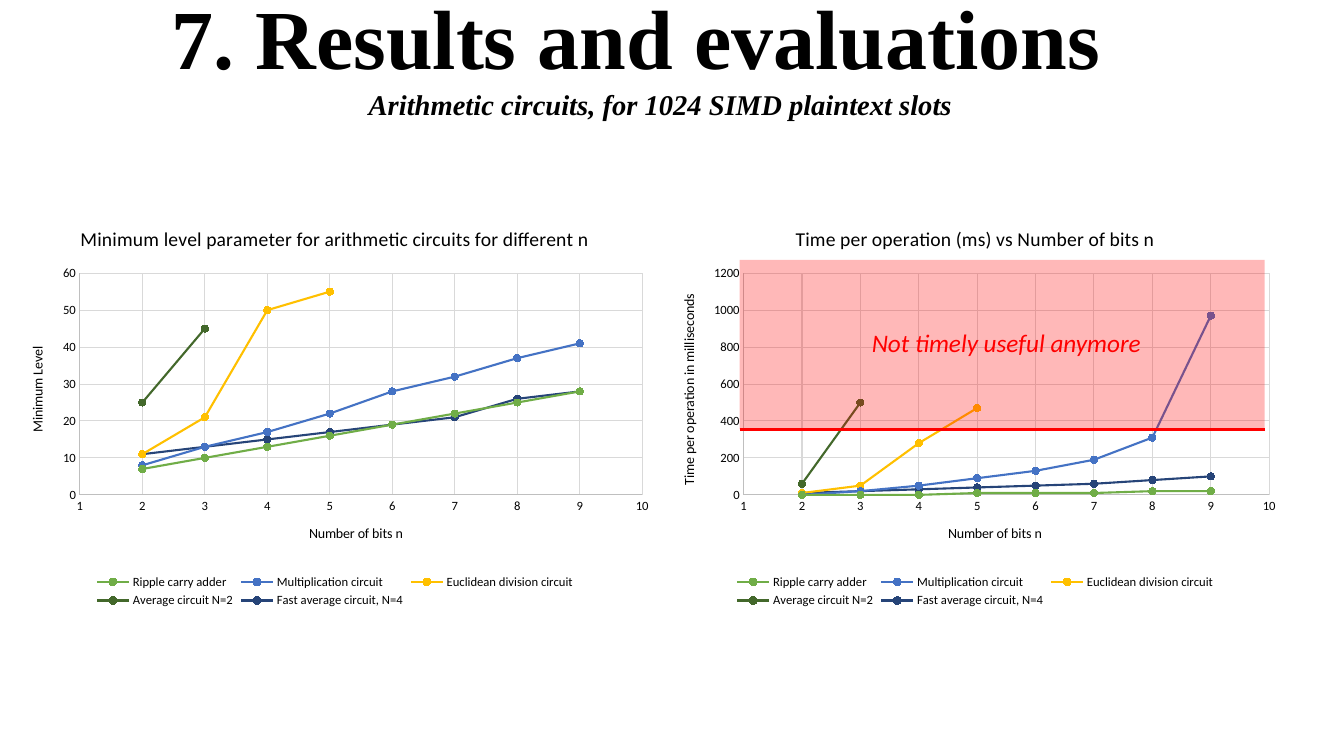
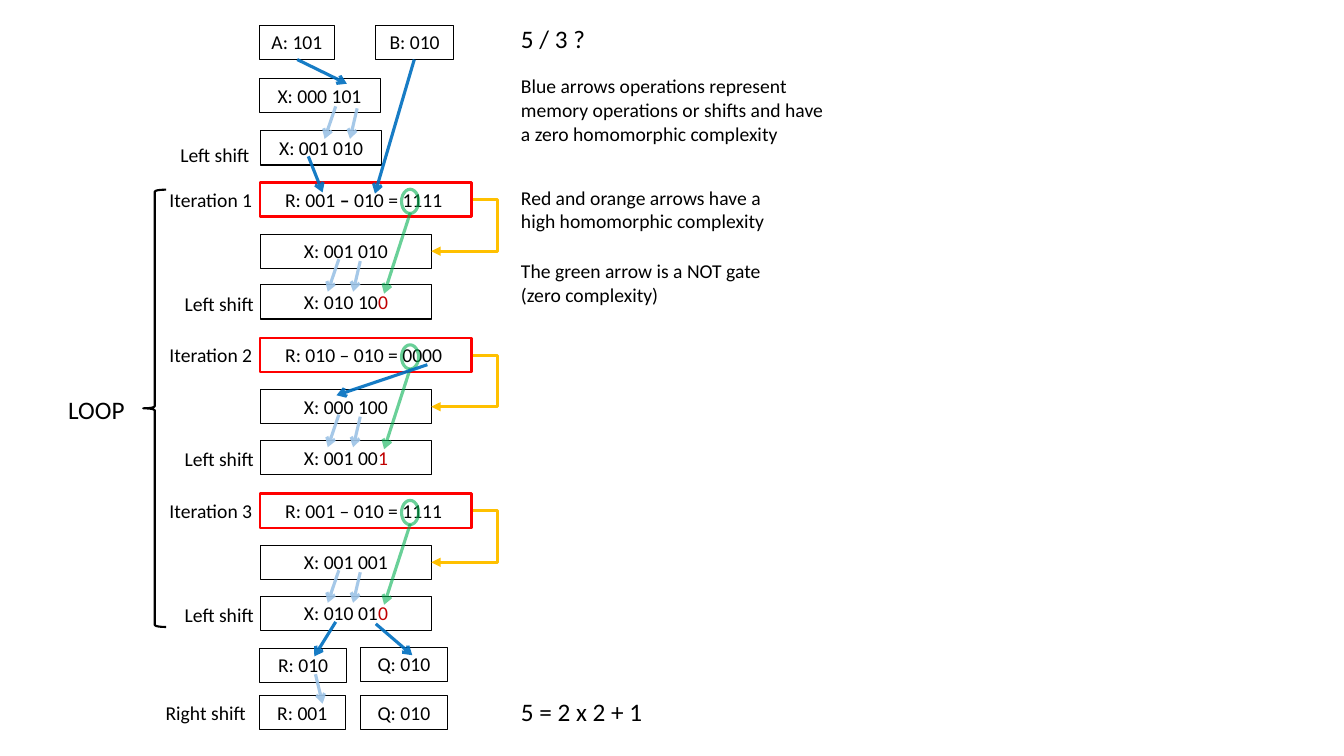
from lxml import etree
from pptx import Presentation, util as u
from pptx.chart import data as chart_data
from pptx.dml import color
from pptx.enum import chart as charts, shapes, text
from pptx.oxml import ns

BLACK, RED, DARK_RED, GREEN = "000000", "FF0000", "C00000", "00B050"
BLUE, PALE_BLUE, ORANGE = "0070C0", "9DC3E6", "FFC000"
AXIS_LINE, GRID_LINE = "BFBFBF", "D9D9D9"
CENTER = text.PP_ALIGN.CENTER
SERIES_COLORS = {
    "Ripple carry adder": "70AD47",
    "Multiplication circuit": "4472C4",
    "Euclidean division circuit": "FFC000",
    "Average circuit N=2": "43682B",
    "Fast average circuit, N=4": "264478",
}


def rgb(value):
    return color.RGBColor.from_string(value)


def assign(target, values):
    for name, value in values.items():
        setattr(target, name, value)


def add_node(parent, tag, **attributes):
    return etree.SubElement(parent, ns.qn(tag), attributes)


def set_alpha(holder, percent):
    for node in holder.iter(ns.qn("a:srgbClr")):
        add_node(node, "a:alpha", val=str(percent * 1000))


class Painter:
    font = "Calibri"
    heading_font = "Times New Roman"

    def __init__(self):
        self.deck = Presentation()
        self.deck.slide_width, self.deck.slide_height = u.Cm(33.87), u.Cm(19.05)
        self.page = None

    def new_page(self):
        self.page = self.deck.slides.add_slide(self.deck.slide_layouts[6])

    def style_font(self, font, size, tint=BLACK, **values):
        assign(font, {"name": self.font, "size": u.Pt(size), **values})
        font.color.rgb = rgb(tint)

    def style_line(self, line, tint, width, alpha=None):
        line.color.rgb = rgb(tint)
        line.width = u.Pt(width)

    def text(self, place, spans, size=14, tint=BLACK, align=None, spacing=None,
             anchor=text.MSO_ANCHOR.TOP, border=None, **values):
        box = self.page.shapes.add_textbox(*map(u.Cm, place))
        assign(box.text_frame, {"word_wrap": True, "vertical_anchor": anchor})
        para = box.text_frame.paragraphs[0]
        assign(para, {"alignment": align, "line_spacing": spacing})
        for content, changes in [(spans, {})] if isinstance(spans, str) else spans:
            span = para.add_run()
            span.text = content
            self.style_font(span.font, size, **{"tint": tint, **values, **changes})
        if border:
            self.style_line(box.line, *border)

    def heading(self, place, content, size, spacing, **values):
        self.text(place, content, size, align=CENTER, spacing=spacing,
                  anchor=text.MSO_ANCHOR.BOTTOM, name=self.heading_font, bold=True, **values)

    def cell(self, left, top, width, spans, border=(BLACK, 0.75)):
        self.text((left, top, width, 0.86), spans, align=CENTER, border=border)

    def label(self, left, top, content):
        self.text((left, top, 3.15, 0.86), content, align=CENTER)

    def shape(self, kind, place, fill=None, line=None, alpha=100):
        shape = self.page.shapes.add_shape(kind, *map(u.Cm, place))
        shape.shadow.inherit = False
        if fill:
            shape.fill.solid()
            shape.fill.fore_color.rgb = rgb(fill)
        else:
            shape.fill.background()
        if line:
            self.style_line(shape.line, *line)
        else:
            shape.line.fill.background()
        set_alpha(shape.element.spPr, alpha)

    def line(self, start, end, tint, width=2.25, head=None, alpha=100, bend=None):
        kind = shapes.MSO_CONNECTOR.STRAIGHT if bend is None else shapes.MSO_CONNECTOR.ELBOW
        connector = self.page.shapes.add_connector(kind, *map(u.Cm, (*start, *end)))
        self.style_line(connector.line, tint, width)
        properties = connector.element.spPr
        set_alpha(properties, alpha)
        if head:
            add_node(properties.find(ns.qn("a:ln")), "a:tailEnd", type=head)
        if bend is not None:
            guides = properties.find(ns.qn("a:prstGeom")).get_or_add_avLst()
            add_node(guides, "a:gd", name="adj1", fmla=f"val {bend}")
        add_node(properties, "a:effectLst")

    def arrow(self, start, end, tint=BLUE, alpha=91):
        self.line(start, end, tint, head="arrow", alpha=alpha)

    def axis(self, axis, title, low, high, step):
        assign(axis, {
            "minimum_scale": low, "maximum_scale": high, "major_unit": step,
            "major_tick_mark": charts.XL_TICK_MARK.NONE, "has_major_gridlines": True,
        })
        self.style_font(axis.tick_labels.font, 9)
        self.style_line(axis.format.line, AXIS_LINE, 0.75)
        self.style_line(axis.major_gridlines.format.line, GRID_LINE, 0.75)
        self.chart_text(axis.axis_title.text_frame, title, 10)

    def chart_text(self, frame, content, size):
        frame.text = content
        self.style_font(frame.paragraphs[0].runs[0].font, size, bold=False)

    def scatter(self, place, title, value_title, high, step, rows, plot_area):
        data = chart_data.XyChartData()
        for name, values in zip(SERIES_COLORS, rows):
            series = data.add_series(name)
            for bits, value in enumerate(values, 2):
                series.add_data_point(bits, value)
        chart = self.page.shapes.add_chart(
            charts.XL_CHART_TYPE.XY_SCATTER_LINES, *map(u.Cm, place), data).chart
        self.style_font(chart.font, 10)
        self.chart_text(chart.chart_title.text_frame, title, 14)
        self.axis(chart.category_axis, "Number of bits n", 1, 10, 1)
        self.axis(chart.value_axis, value_title, 0, high, step)
        chart.has_legend = True
        assign(chart.legend, {"position": charts.XL_LEGEND_POSITION.BOTTOM,
                              "include_in_layout": False})
        self.style_font(chart.legend.font, 9)
        chart.plots[0].vary_by_categories = False
        for series, tint in zip(chart.plots[0].series, SERIES_COLORS.values()):
            series.smooth = False
            self.style_line(series.format.line, tint, 1.5)
            marker = series.marker
            assign(marker, {"style": charts.XL_MARKER_STYLE.CIRCLE, "size": 5})
            marker.format.fill.solid()
            marker.format.fill.fore_color.rgb = rgb(tint)
            self.style_line(marker.format.line, tint, 0.75)
        self.place_plot(chart, plot_area)

    def place_plot(self, chart, plot_area):
        area = chart.element.xpath("c:chart/c:plotArea")[0]
        for old in area.findall(ns.qn("c:layout")):
            area.remove(old)
        layout = add_node(area, "c:layout")
        area.insert(0, layout)
        manual = add_node(layout, "c:manualLayout")
        settings = {"layoutTarget": "inner", "xMode": "edge", "yMode": "edge",
                    **dict(zip("xywh", plot_area))}
        for name, value in settings.items():
            add_node(manual, f"c:{name}", val=str(value))


def results_page(painter):
    painter.new_page()
    painter.scatter(
        (0.2, 5.26, 16.48, 10.16),
        "Minimum level parameter for arithmetic circuits for different n",
        "Minimum Level", 60, 10,
        [
            [7, 10, 13, 16, 19, 22, 25, 28],
            [8, 13, 17, 22, 28, 32, 37, 41],
            [11, 21, 50, 55],
            [25, 45],
            [11, 13, 15, 17, 19, 21, 26, 28],
        ],
        (0.11, 0.16, 0.86, 0.55))
    painter.scatter(
        (16.69, 5.26, 15.77, 10.16),
        "Time per operation (ms) vs Number of bits n",
        "Time per operation in milliseconds", 1200, 200,
        [
            [0, 0, 0, 10, 10, 10, 20, 20],
            [0, 20, 50, 90, 130, 190, 310, 970],
            [10, 50, 280, 470],
            [60, 500],
            [10, 20, 30, 40, 50, 60, 80, 100],
        ],
        (0.13, 0.16, 0.84, 0.55))
    left, top, width, height = limit = (18.64, 6.55, 13.23, 4.27)
    painter.shape(shapes.MSO_SHAPE.RECTANGLE, limit, fill=RED, alpha=28)
    painter.line((left, top + height), (left + width, top + height), RED, 1.75 * 1.25)
    painter.text((21.72, 8.13, 7.6, 1.02), "Not timely useful anymore", 18, RED, italic=True)
    painter.heading((0, -0.33, 32.05, 2.67), "7. Results and evaluations", 60, 0.9)
    painter.heading((6.99, 2.24, 19.3, 0.91),
                    "Arithmetic circuits, for 1024 SIMD plaintext slots", 20.4, 0.7, italic=True)


def shift_arrows(painter, left, top):
    painter.arrow((left, top), (left - 0.28, top + 0.82), PALE_BLUE)
    painter.arrow((left + 0.54, top + 0.05), (left + 0.36, top + 0.82), PALE_BLUE)


def iteration(painter, number, top, remainder, value, shifted, bit):
    left = 6.56
    painter.cell(left, top, 5.33, remainder, (RED, 1.75))
    painter.cell(left, top + 1.3, 4.32, value)
    painter.cell(left, top + 2.58, 4.32, [(shifted, {}), (bit, {"tint": DARK_RED})])
    painter.label(3.74, top, f"Iteration {number}")
    painter.label(3.95, top + 2.62, "Left shift")
    painter.shape(shapes.MSO_SHAPE.OVAL, (10.12, top + 0.17, 0.43, 0.61),
                  line=(GREEN, 2.25), alpha=59)
    painter.arrow((10.34, top + 0.76), (9.68, top + 2.8), GREEN, 59)
    shift_arrows(painter, 8.54, top + 1.93)
    painter.line((11.91, top + 0.43), (10.87, top + 1.73), ORANGE, head="triangle", bend=-60800)


def division_page(painter):
    painter.new_page()
    for left, top, width, content in [
        (6.53, 0.64, 1.91, "A: 101"),
        (9.47, 0.64, 1.96, "B: 010"),
        (6.53, 1.98, 3.05, "X: 000 101"),
        (6.57, 3.3, 3.05, "X: 001 010"),
        (6.55, 16.33, 2.18, "R: 010"),
        (9.09, 16.31, 2.18, "Q: 010"),
        (6.53, 17.53, 2.18, "R: 001"),
        (9.09, 17.53, 2.18, "Q: 010"),
    ]:
        painter.cell(left, top, width, content)
    painter.label(3.84, 3.48, "Left shift")
    painter.label(3.61, 17.53, "Right shift")
    shift_arrows(painter, 8.46, 2.68)

    steps = [
        ([("R: 001 ", {}), ("–", {"bold": True}), (" 010 = 1111 ", {})],
         "X: 001 010", "X: 010 10", "0"),
        ("R: 010 – 010 = 0000 ", "X: 000 100", "X: 001 00", "1"),
        ("R: 001 – 010 = 1111 ", "X: 001 001", "X: 010 01", "0"),
    ]
    for index, step in enumerate(steps):
        iteration(painter, index + 1, 4.6 + 3.92 * index, *step)

    for start, end in [
        ((7.49, 1.5), (8.74, 2.11)),
        ((7.77, 3.94), (8.13, 4.85)),
        ((10.44, 1.5), (9.45, 4.88)),
        ((10.77, 9.19), (8.48, 9.96)),
        ((8.46, 15.67), (7.92, 16.54)),
        ((9.47, 15.72), (10.39, 16.51)),
    ]:
        painter.arrow(start, end)
    painter.arrow((7.95, 16.99), (8.13, 17.73), PALE_BLUE)
    painter.shape(shapes.MSO_SHAPE.LEFT_BRACE, (3.61, 4.78, 0.58, 11.02), line=(BLACK, 1.5))

    painter.text((1.47, 9.8, 2.2, 1.02), "LOOP", 18)
    for top, width, height, size, content in [
        (0.46, 2.6, 1.02, 18, "5 / 3 ?"),
        (1.75, 8.43, 2.06, 14, "Blue arrows operations represent memory operations "
                               "or shifts and have a zero homomorphic complexity"),
        (4.55, 6.83, 1.45, 14, "Red and orange arrows have a high homomorphic complexity"),
        (6.4, 6.63, 1.45, 14, "The green arrow is a NOT gate (zero complexity)"),
        (17.42, 4.2, 1.02, 18, "5 = 2 x 2 + 1"),
    ]:
        painter.text((12.88, top, width, height), content, size)


def main():
    painter = Painter()
    results_page(painter)
    division_page(painter)
    painter.deck.save("out.pptx")


if __name__ == "__main__":
    main()
